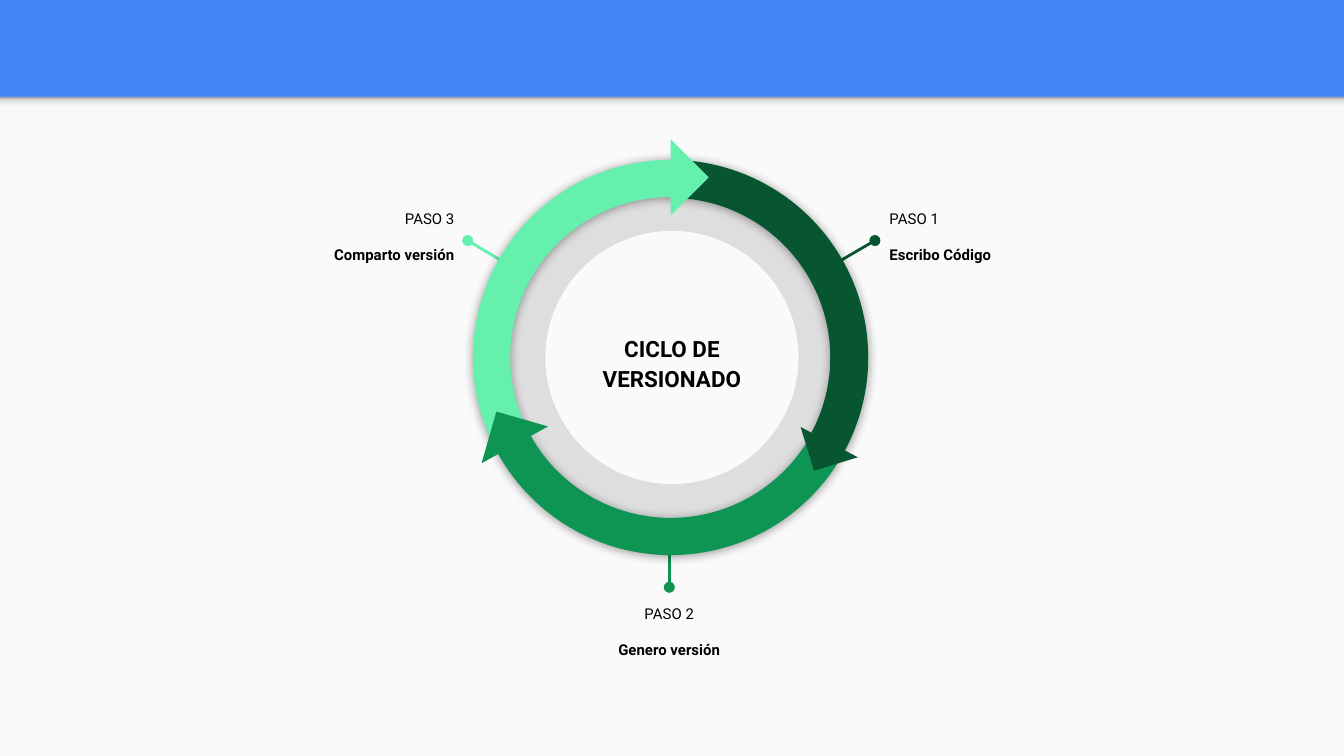
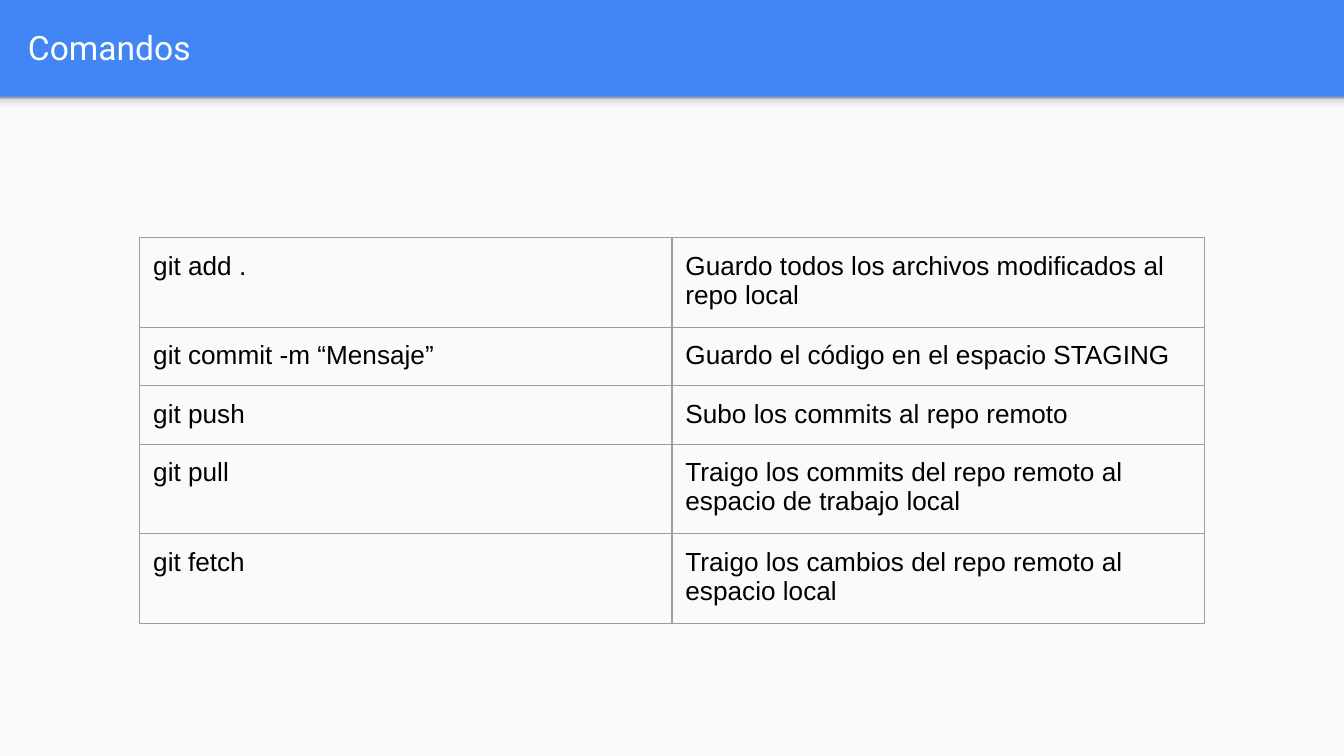
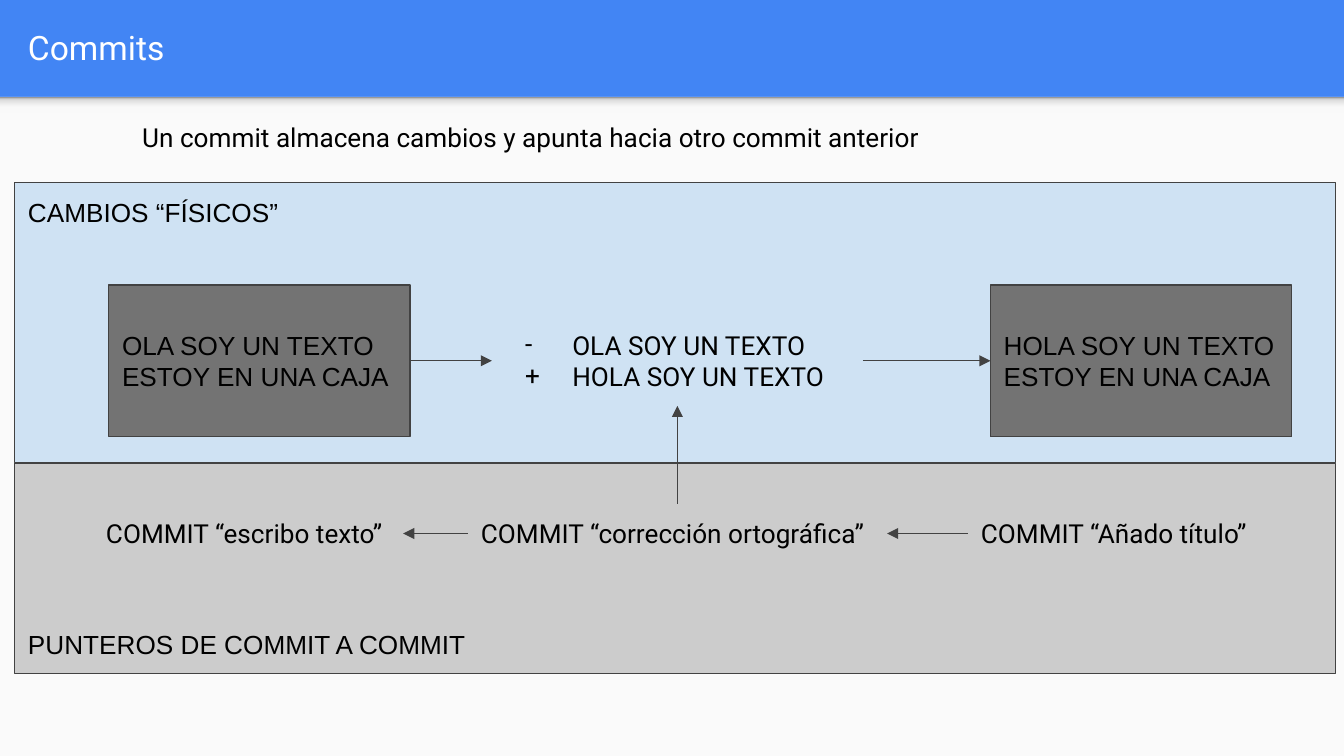
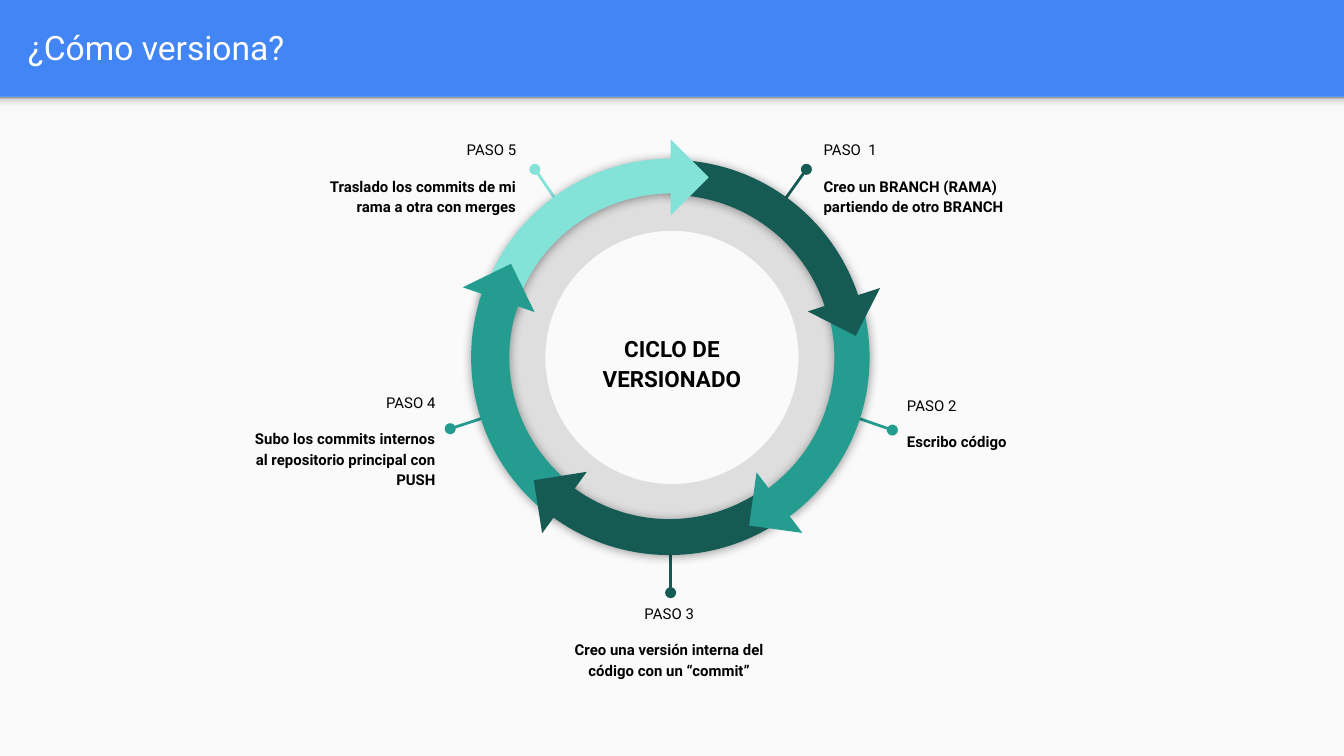
from dataclasses import dataclass, replace
from typing import Optional, Union

from lxml.etree import SubElement
from pptx import Presentation
from pptx.dml.color import RGBColor
from pptx.enum.shapes import MSO_CONNECTOR as Link, MSO_SHAPE as Preset
from pptx.enum.text import MSO_ANCHOR as Anchor, PP_ALIGN as Align
from pptx.oxml.ns import qn
from pptx.util import Inches, Pt

COLOURS = {
    "banner": "4285F4", "page": "FAFAFA", "white": "FFFFFF", "black": "000000",
    "outline": "424242", "grid": "9E9E9E", "box": "737373",
    "changes": "CFE2F3", "pointers": "CCCCCC",
    "forest": "085631", "green": "0E9453", "mint": "65F0AD",
    "pine": "155B54", "teal": "249C90", "aqua": "83E3D9",
}
BAND_SHADE = [(0, "F9F9F9"), (36, "F9F9F9"), (80, "DEDEDE"), (100, "999999")]
SLIDE_WIDTH = 10
SLIDE_HEIGHT = SLIDE_WIDTH * 9 / 16
BAND_TOP = 0.72


@dataclass(frozen=True)
class Style:
    font: str = "Roboto"
    size: float = 14
    colour: str = "black"
    bold: bool = False


TITLE = Style(size=18, colour="white")
BODY = Style()
PLAIN = Style(font="Arial")
STEP = Style(size=8)
STEP_DETAIL = replace(STEP, bold=True)
HUB = Style(size=12, bold=True)


@dataclass(frozen=True)
class Step:
    label: str
    detail: str
    colour: str
    align: Align
    text_at: tuple[float, float]
    pin: tuple[float, float]
    rim: tuple[float, float]


@dataclass(frozen=True)
class Arc:
    colour: str
    rotation: float
    start: float
    end: float
    thickness: float
    flipped: bool = True
    left: float = 3.52
    top: float = 1.19
    size: float = 2.94
    outlined: bool = False


@dataclass(frozen=True)
class Head:
    colour: str
    rotation: float
    left: float
    top: float
    size: float = 0.4


@dataclass(frozen=True)
class Cycle:
    steps: list[Step]
    ring: list[Union[Arc, Head]]


VERSION_CYCLE = Cycle(
    steps=[
        Step("PASO 3", "Comparto versión", "mint", Align.RIGHT, (1.84, 1.44), (3.48, 1.79), (3.95, 2.07)),
        Step("PASO 1", "Escribo Código", "forest", Align.LEFT, (6.52, 1.44), (6.51, 1.79), (6.03, 2.07)),
        Step("PASO 2", "Genero versión", "green", Align.CENTER, (4.16, 4.38), (4.98, 4.37), (4.98, 3.87)),
    ],
    ring=[
        Arc("forest", 30, 240.24, 0.01, 9.6, flipped=False),
        Arc("mint", 330, 239.14, 357.88, 9.4),
        Head("mint", 225, 4.79, 1.12),
        Arc("green", 210, 238.6, 358.38, 9.4),
        Head("forest", 342.9, 6, 3.12, 0.34),
        Head("green", 106, 3.63, 3.11),
    ],
)
BRANCH_CYCLE = Cycle(
    steps=[
        Step("PASO  1", "Creo un BRANCH (RAMA) partiendo de otro BRANCH", "pine", Align.LEFT,
             (6.03, 0.93), (6, 1.26), (5.7, 1.68)),
        Step("PASO 5", "Traslado los commits de mi rama a otra con merges", "aqua", Align.RIGHT,
             (2.3, 0.93), (3.98, 1.26), (4.27, 1.68)),
        Step("PASO 2", "Escribo código", "teal", Align.LEFT, (6.65, 2.83), (6.64, 3.2), (6.15, 3.03)),
        Step("PASO 4", "Subo los commits internos al repositorio principal con PUSH", "teal", Align.RIGHT,
             (1.7, 2.81), (3.35, 3.19), (3.84, 3.03)),
        Step("PASO 3", "Creo una versión interna del código con un “commit”", "pine", Align.CENTER,
             (4.16, 4.38), (4.99, 4.41), (4.99, 3.87)),
    ],
    ring=[
        Arc("pine", 30, 240.24, 316.64, 8.9, flipped=False),
        Arc("teal", 210, 336.31, 43.73, 8.9, left=3.53),
        Head("pine", 297, 6.08, 2.03),
        Arc("aqua", 330, 238.9, 314.25, 8.8, top=1.18, size=2.95),
        Arc("teal", 150, 336.41, 50.12, 9.3, flipped=False, left=3.51, outlined=True),
        Arc("pine", 210, 262.31, 333.47, 9.1, left=3.51),
        Head("teal", 154, 3.51, 2.03),
        Head("teal", 7.9, 5.6, 3.54),
        Head("pine", 81, 4, 3.54),
        Head("aqua", 225, 4.79, 1.12),
    ],
)
COMMANDS = [
    ("git add .", "Guardo todos los archivos modificados al repo local"),
    ("git commit -m “Mensaje”", "Guardo el código en el espacio STAGING"),
    ("git push", "Subo los commits al repo remoto"),
    ("git pull", "Traigo los commits del repo remoto al espacio de trabajo local"),
    ("git fetch", "Traigo los cambios del repo remoto al espacio local"),
]


def rgb(name: str) -> RGBColor:
    """Look up a named colour."""
    return RGBColor.from_string(COLOURS[name])


def add_solid(parent, name: str) -> None:
    """Append a solid fill to an XML element."""
    SubElement(SubElement(parent, qn("a:solidFill")), qn("a:srgbClr"), val=COLOURS[name])


def set_margins(holder) -> None:
    """Give a text frame or a cell equal margins."""
    holder.margin_left = holder.margin_right = holder.margin_top = holder.margin_bottom = Inches(0.1)


def add_words(paragraph, words: str, style: Style) -> None:
    """Add one styled run."""
    run = paragraph.add_run()
    run.text = words
    run.font.name = style.font
    run.font.size = Pt(style.size)
    run.font.bold = style.bold
    run.font.color.rgb = rgb(style.colour)


def write(frame, lines: list[tuple[str, Style]], align: Align = Align.LEFT,
          anchor: Anchor = Anchor.TOP, spacing: Optional[float] = None, gap: float = 0) -> None:
    """Fill a text frame with one styled run per paragraph."""
    frame.word_wrap = True
    frame.vertical_anchor = anchor
    set_margins(frame)
    for index, (words, style) in enumerate(lines):
        paragraph = frame.add_paragraph() if index else frame.paragraphs[0]
        paragraph.alignment = align
        if spacing:
            paragraph.line_spacing = spacing
        if index and gap:
            paragraph.space_before = Pt(gap)
        add_words(paragraph, words, style)


def add_text(shapes, left: float, top: float, width: float, height: float,
             lines: list[tuple[str, Style]], **layout):
    """Add a text box."""
    box = shapes.add_textbox(Inches(left), Inches(top), Inches(width), Inches(height))
    write(box.text_frame, lines, **layout)
    return box


def add_figure(shapes, preset: Preset, left: float, top: float, width: float, height: float,
               fill: str, line: Optional[str] = None):
    """Add a flat preset shape."""
    figure = shapes.add_shape(preset, Inches(left), Inches(top), Inches(width), Inches(height))
    figure.shadow.inherit = False
    figure.fill.solid()
    figure.fill.fore_color.rgb = rgb(fill)
    if line:
        figure.line.color.rgb = rgb(line)
        figure.line.width = Pt(0.75)
    else:
        figure.line.fill.background()
    return figure


def add_line(shapes, start: tuple[float, float], end: tuple[float, float],
             colour: str, weight: float, tip: str, kind: str):
    """Add a straight connector with one decorated end."""
    line = shapes.add_connector(Link.STRAIGHT, *map(Inches, start + end))
    line.line.color.rgb = rgb(colour)
    line.line.width = Pt(weight)
    SubElement(line.line._get_or_add_ln(), qn(f"a:{tip}"), type=kind)
    SubElement(line.element.spPr, qn("a:effectLst"))
    return line


def link(shapes, source, source_side: int, target, target_side: int) -> None:
    """Draw an arrow between the sides of two shapes."""
    arrow = add_line(shapes, (0, 0), (1, 1), "outline", 0.75, "tailEnd", "triangle")
    arrow.begin_connect(source, source_side)
    arrow.end_connect(target, target_side)


def new_slide(deck, title: Optional[str] = None):
    """Add a slide with the shared banner, page area and title."""
    slide = deck.slides.add_slide(deck.slide_layouts[6])
    slide.background.fill.solid()
    slide.background.fill.fore_color.rgb = rgb("banner")
    add_figure(slide.shapes, Preset.RECTANGLE, 0, BAND_TOP, SLIDE_WIDTH, SLIDE_HEIGHT - BAND_TOP, "page")
    band = add_figure(slide.shapes, Preset.RECTANGLE, 0, BAND_TOP, SLIDE_WIDTH, 0.12, "page")
    band.fill.gradient()
    band.fill.gradient_angle = 90
    stops = band.element.spPr.find(qn("a:gradFill")).find(qn("a:gsLst"))
    for stop in list(stops):
        stops.remove(stop)
    for position, shade in BAND_SHADE:
        stop = SubElement(stops, qn("a:gs"), pos=str(position * 1000))
        SubElement(stop, qn("a:srgbClr"), val=shade)
    if title:
        add_text(slide.shapes, 0.11, 0.02, 9.65, 0.66, [(title, TITLE)], anchor=Anchor.MIDDLE)
    return slide


def add_arc(shapes, arc: Arc) -> None:
    """Draw one shadowed arc of the ring."""
    band = add_figure(shapes, Preset.BLOCK_ARC, arc.left, arc.top, arc.size, arc.size,
                      arc.colour, arc.colour if arc.outlined else None)
    band.rotation = arc.rotation
    for index, angle in enumerate((arc.start, arc.end)):
        band.adjustments[index] = angle * 0.6
    band.adjustments[2] = arc.thickness / 100
    properties = band.element.spPr
    if arc.flipped:
        properties.find(qn("a:xfrm")).set("flipH", "1")
    shadow = SubElement(properties.find(qn("a:effectLst")), qn("a:outerShdw"), blurRad=str(Pt(5.6)),
                        dist=str(Pt(0.75)), dir="5400000", algn="bl", rotWithShape="0")
    tint = SubElement(shadow, qn("a:srgbClr"), val=COLOURS["black"])
    SubElement(tint, qn("a:alpha"), val="40000")


def add_step(shapes, step: Step) -> None:
    """Draw a step's pin and caption as a group."""
    group = shapes.add_group_shape().shapes
    add_line(group, step.pin, step.rim, step.colour, 1.5, "headEnd", "oval")
    add_text(group, *step.text_at, 1.64, 0.73, [(step.label, STEP), (step.detail, STEP_DETAIL)],
             align=step.align, spacing=1.15, gap=8.4)


def add_cycle(slide, cycle: Cycle) -> None:
    """Draw a cycle diagram."""
    shapes = slide.shapes
    track = add_figure(shapes, Preset.DONUT, 3.61, 1.27, 2.78, 2.78, "black")
    track.adjustments[0] = 16.1 / 100
    tint = track.element.spPr.find(qn("a:solidFill")).find(qn("a:srgbClr"))
    SubElement(tint, qn("a:alpha"), val="11000")
    for step in cycle.steps:
        add_step(shapes, step)
    add_text(shapes, 4.21, 2.25, 1.58, 0.88, [("CICLO DE VERSIONADO", HUB)],
             align=Align.CENTER, anchor=Anchor.MIDDLE, spacing=1.15)
    for piece in cycle.ring:
        if isinstance(piece, Arc):
            add_arc(shapes, piece)
        else:
            head = add_figure(shapes, Preset.RIGHT_TRIANGLE, piece.left, piece.top,
                              piece.size, piece.size, piece.colour)
            head.rotation = piece.rotation


def add_commands(slide) -> None:
    """Draw the table of commands."""
    table = slide.shapes.add_table(len(COMMANDS), 2, Inches(1.04), Inches(1.77),
                                   Inches(3.96 * 2), Inches(0.42 * len(COMMANDS))).table
    table.first_row = table.horz_banding = False
    for row, texts in enumerate(COMMANDS):
        for column, words in enumerate(texts):
            cell = table.cell(row, column)
            add_words(cell.text_frame.paragraphs[0], words, PLAIN)
            set_margins(cell)
            properties = cell._tc.get_or_add_tcPr()
            for side in ("lnL", "lnR", "lnT", "lnB"):
                add_solid(SubElement(properties, qn(f"a:{side}"), w=str(Pt(0.75))), "grid")
            cell.fill.background()


def add_commit_flow(slide) -> None:
    """Draw the changes and the pointers between commits."""
    shapes = slide.shapes
    for top, height, fill, words, anchor in (
        (1.36, 2.08, "changes", "CAMBIOS “FÍSICOS”", Anchor.TOP),
        (3.45, 1.56, "pointers", "PUNTEROS DE COMMIT A COMMIT", Anchor.BOTTOM),
    ):
        area = add_figure(shapes, Preset.RECTANGLE, 0.11, top, 9.83, height, fill, "outline")
        write(area.text_frame, [(words, PLAIN)], anchor=anchor)
    add_text(shapes, 0.96, 0.8, 7.83, 0.44,
             [("Un commit almacena cambios y apunta hacia otro commit anterior", BODY)])

    versions = []
    for left, greeting in ((0.81, "OLA"), (7.37, "HOLA")):
        version = add_figure(shapes, Preset.FLOWCHART_PROCESS, left, 2.12, 2.24, 1.13, "box", "outline")
        write(version.text_frame, [(f"{greeting} SOY UN TEXTO", PLAIN), ("ESTOY EN UNA CAJA", PLAIN)],
              anchor=Anchor.MIDDLE)
        versions.append(version)
    before, after = versions

    change = add_text(shapes, 3.66, 2.35, 2.76, 0.67,
                      [("OLA SOY UN TEXTO", BODY), ("HOLA SOY UN TEXTO", BODY)])
    for paragraph, sign in zip(change.text_frame.paragraphs, "-+"):
        properties = paragraph._p.get_or_add_pPr()
        properties.set("marL", str(Inches(0.5)))
        properties.set("indent", str(Inches(-0.35)))
        SubElement(SubElement(properties, qn("a:buClr")), qn("a:srgbClr"), val=COLOURS["black"])
        SubElement(properties, qn("a:buFont"), typeface=BODY.font)
        SubElement(properties, qn("a:buChar"), char=sign)

    first, fix, latest = (
        add_text(shapes, left, 3.75, width, 0.44, [(f"COMMIT “{message}”", BODY)])
        for left, width, message in (
            (0.69, 2.31, "escribo texto"),
            (3.48, 3.12, "corrección ortográfica"),
            (7.2, 3.11, "Añado título"),
        )
    )
    link(shapes, fix, 0, change, 2)
    link(shapes, before, 3, change, 1)
    link(shapes, change, 3, after, 1)
    link(shapes, latest, 1, fix, 3)
    link(shapes, fix, 1, first, 3)


def main() -> None:
    """Build the four slides and save them."""
    deck = Presentation()
    deck.slide_width, deck.slide_height = Inches(SLIDE_WIDTH), Inches(SLIDE_HEIGHT)
    add_cycle(new_slide(deck), VERSION_CYCLE)
    add_commands(new_slide(deck, "Comandos"))
    add_commit_flow(new_slide(deck, "Commits"))
    add_cycle(new_slide(deck, "¿Cómo versiona?"), BRANCH_CYCLE)
    deck.save("out.pptx")


if __name__ == "__main__":
    main()
